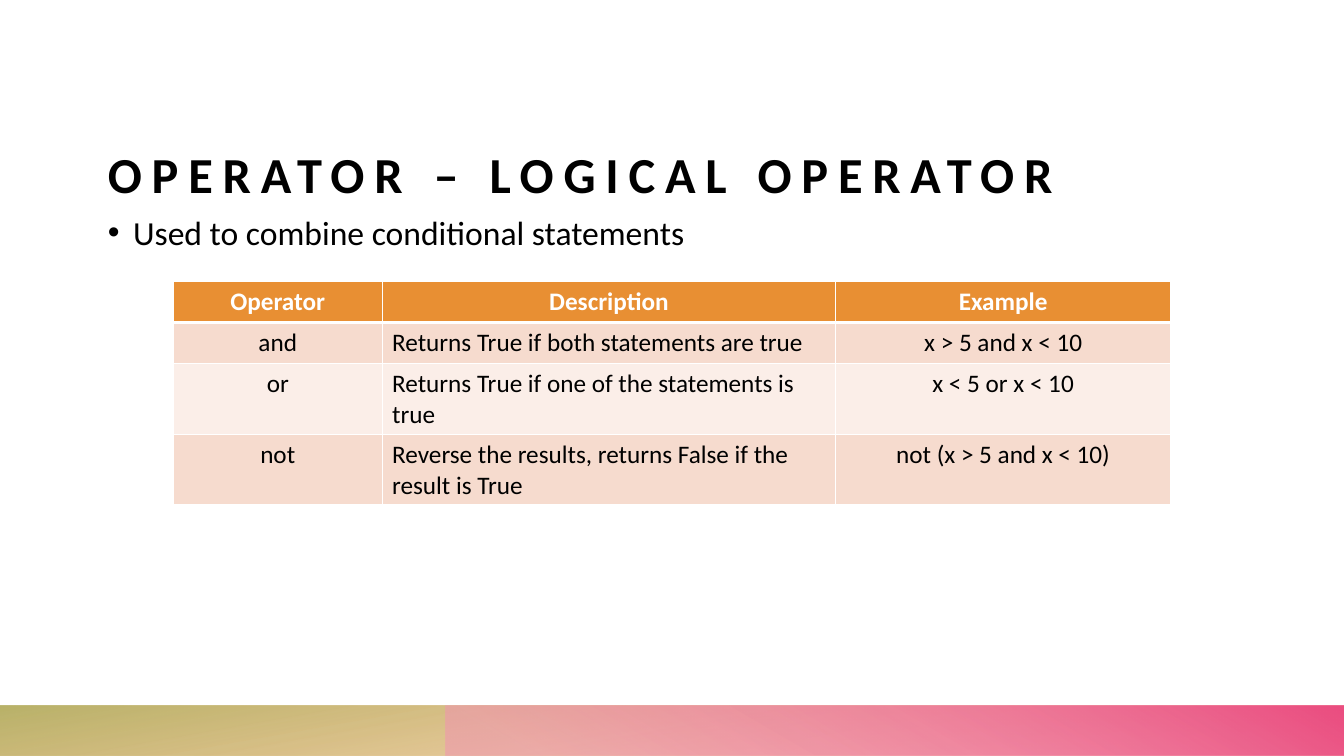
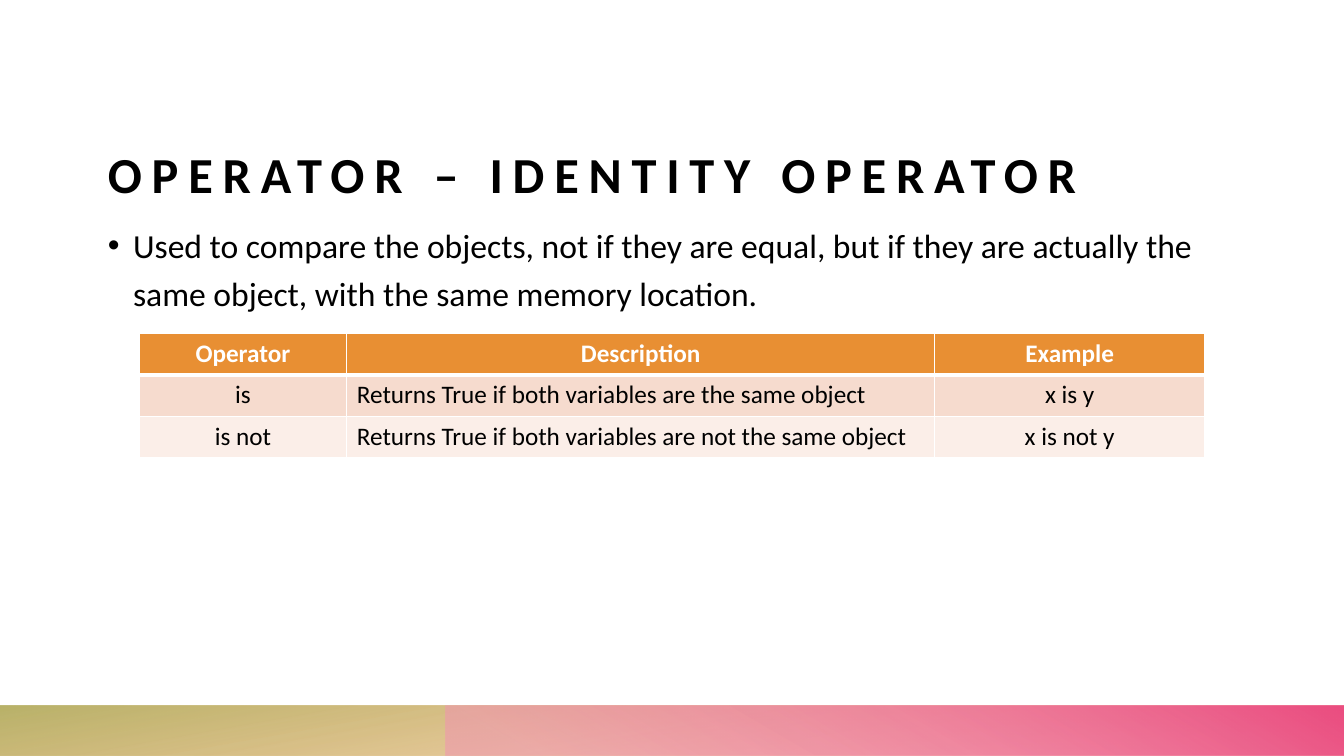
from dataclasses import dataclass

from lxml import etree
from pptx import Presentation
from pptx.dml.color import RGBColor as Color
from pptx.enum.shapes import MSO_SHAPE as Preset
from pptx.enum.text import MSO_ANCHOR as Anchor, PP_ALIGN as Align
from pptx.oxml import parse_xml
from pptx.oxml.ns import nsdecls, qn
from pptx.util import Inches, Pt


@dataclass(frozen=True)
class Theme:
    font: str = "Calibri"
    ink: str = "000000"
    white: str = "FFFFFF"
    header: str = "E88F33"
    stripes: tuple = ("F6DBCE", "FBEEE8")
    title_size: int = 36
    body_size: int = 24
    table_size: int = 18


theme = Theme()

# Left, width, rotation, gradient angle, stops (position, colour, opacity in %)
BANDS = [
    (0, 13.33, 180, 100, [(14, "E88F33", 28), (100, "ACA54F", 85)]),
    (4.42, 8.92, 0, 240, [(9, "F395B3", 55), (99, "EB4E81", 100)]),
]

HEADINGS = ("Operator", "Description", "Example")
ROW_HEIGHT = 0.41

PAGES = [
    {
        "title": "OPERATOR – LOGICAL OPERATOR",
        "body": "Used to combine conditional statements",
        "body_top": 2.02,
        "table_at": (1.72, 2.79),
        "columns": (2.07, 4.5, 3.32),
        "rows": [
            ("and", "Returns True if both statements are true", "x > 5 and x < 10"),
            ("or", "Returns True if one of the statements is true", "x < 5 or x < 10"),
            ("not", "Reverse the results, returns False if the result is True",
             "not (x > 5 and x < 10)"),
        ],
    },
    {
        "title": "OPERATOR – IDENTITY OPERATOR",
        "body": "Used to compare the objects, not if they are equal, but if they are "
                "actually the same object, with the same memory location.",
        "body_top": 2.15,
        "table_at": (1.38, 3.31),
        "columns": (2.06, 5.83, 2.68),
        "rows": [
            ("is", "Returns True if both variables are the same object", "x is y"),
            ("is not", "Returns True if both variables are not the same object",
             "x is not y"),
        ],
    },
]


def write(para, text, size, color, bold=False):
    span = para.add_run()
    span.text = text
    values = {"name": theme.font, "size": Pt(size), "bold": bold}
    for name, value in values.items():
        setattr(span.font, name, value)
    span.font.color.rgb = Color.from_string(color)
    return span


def add_box(page, top, height, anchor):
    box = page.shapes.add_textbox(Inches(1.07), Inches(top), Inches(11.2), Inches(height))
    values = {"word_wrap": True, "vertical_anchor": anchor, "margin_left": 0,
              "margin_top": 0, "margin_right": 0, "margin_bottom": 0}
    for name, value in values.items():
        setattr(box.text_frame, name, value)
    return box.text_frame.paragraphs[0]


deck = Presentation()
deck.slide_width, deck.slide_height = Inches(13.33), Inches(7.5)

for content in PAGES:
    page = deck.slides.add_slide(deck.slide_layouts[6])

    # Gradient bands along the bottom
    for left, width, rotation, angle, stops in BANDS:
        band = page.shapes.add_shape(
            Preset.RECTANGLE, Inches(left), Inches(7), Inches(width), Inches(0.5))
        band.shadow.inherit = False
        band.line.fill.background()
        band.rotation = rotation
        properties = band._element.spPr
        properties.find(qn("a:xfrm")).set("flipH", "1")
        stop_xml = "".join(
            f'<a:gs pos="{position * 1000}"><a:srgbClr val="{color}">'
            f'<a:alpha val="{opacity * 1000}"/></a:srgbClr></a:gs>'
            for position, color, opacity in stops)
        gradient = parse_xml(
            f'<a:gradFill {nsdecls("a")} rotWithShape="1"><a:gsLst>{stop_xml}</a:gsLst>'
            f'<a:lin ang="{angle * 60000}" scaled="0"/></a:gradFill>')
        properties.find(qn("a:prstGeom")).addnext(gradient)

    # Title
    para = add_box(page, 0.67, 1.35, Anchor.BOTTOM)
    span = write(para, content["title"], theme.title_size, theme.ink, bold=True)
    span.font._element.set("spc", "700")

    # Bulleted statement
    para = add_box(page, content["body_top"], 4.33, Anchor.TOP)
    bullet = para._p.get_or_add_pPr()
    bullet.set("marL", str(Inches(0.25)))
    bullet.set("indent", str(Inches(-0.25)))
    etree.SubElement(bullet, qn("a:buFont")).set("typeface", "Arial")
    etree.SubElement(bullet, qn("a:buChar")).set("char", "•")
    para.line_spacing = 1.2
    write(para, content["body"], theme.body_size, theme.ink)

    # Operator table
    rows = [HEADINGS] + content["rows"]
    columns = content["columns"]
    left, top = content["table_at"]
    table = page.shapes.add_table(
        len(rows), len(columns), Inches(left), Inches(top),
        Inches(sum(columns)), Inches(ROW_HEIGHT * len(rows))).table
    for column, width in zip(table.columns, columns):
        column.width = Inches(width)

    for row_index, row in enumerate(rows):
        table.rows[row_index].height = Inches(ROW_HEIGHT)
        is_header = row_index == 0
        fill = theme.header if is_header else theme.stripes[(row_index - 1) % 2]
        borders = {"L": 1, "R": 1, "T": 3 if row_index == 1 else 1,
                   "B": 3 if is_header else 1}
        for column_index, text in enumerate(row):
            cell = table.cell(row_index, column_index)
            cell.fill.solid()
            cell.fill.fore_color.rgb = Color.from_string(fill)
            para = cell.text_frame.paragraphs[0]
            is_description = column_index == 1 and not is_header
            para.alignment = Align.LEFT if is_description else Align.CENTER
            write(para, text, theme.table_size,
                  theme.white if is_header else theme.ink, bold=is_header)
            for position, (side, weight) in enumerate(borders.items()):
                cell._tc.get_or_add_tcPr().insert(position, parse_xml(
                    f'<a:ln{side} {nsdecls("a")} w="{Pt(weight)}"><a:solidFill>'
                    f'<a:srgbClr val="{theme.white}"/></a:solidFill></a:ln{side}>'))

deck.save("out.pptx")
